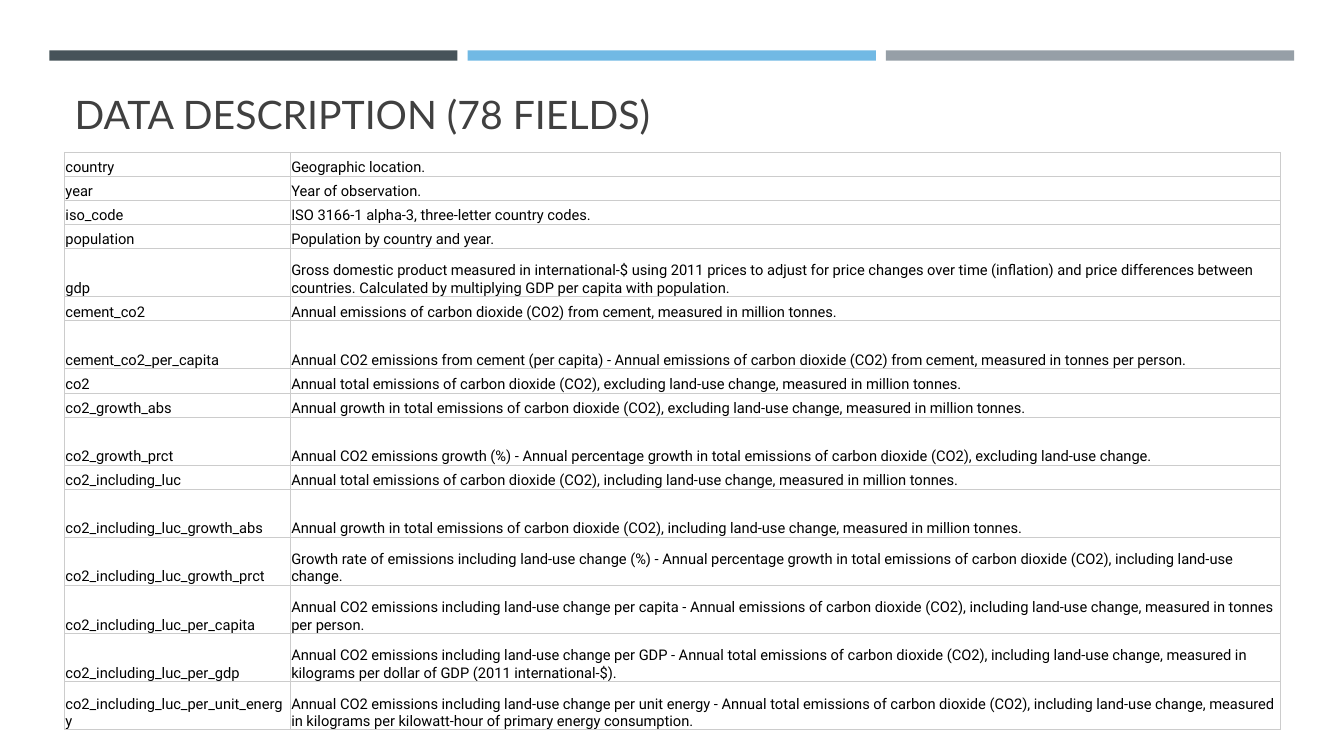
from lxml import etree
from pptx import Presentation
from pptx.dml.color import RGBColor
from pptx.enum.shapes import MSO_SHAPE
from pptx.enum.text import MSO_ANCHOR, MSO_AUTO_SIZE, PP_ALIGN
from pptx.oxml.ns import qn
from pptx.util import Pt

RECTANGLE = MSO_SHAPE.RECTANGLE
BOTTOM = MSO_ANCHOR.BOTTOM
LEFT = PP_ALIGN.LEFT
NO_AUTOFIT = MSO_AUTO_SIZE.NONE

SLATE = RGBColor(0x46, 0x53, 0x59)
SKY = RGBColor(0x71, 0xB9, 0xE4)
GREY = RGBColor(0x96, 0x9F, 0xA7)
CHARCOAL = RGBColor(0x40, 0x40, 0x40)
BLACK = RGBColor(0, 0, 0)
BORDER = RGBColor(0xCC, 0xCC, 0xCC)

SHORT_ROW, TALL_ROW = 17.2, 34.4
COLUMN_WIDTHS = (161.3, 707)
BAR_WIDTH, BAR_PITCH = 291.6, 298.8

FIELDS = [
    ("country", "Geographic location."),
    ("year", "Year of observation."),
    ("iso_code", "ISO 3166-1 alpha-3, three-letter country codes."),
    ("population", "Population by country and year."),
    ("gdp", "Gross domestic product measured in international-$ using 2011 prices to adjust for price "
     "changes over time (inflation) and price differences between countries. Calculated by "
     "multiplying GDP per capita with population."),
    ("cement_co2", "Annual emissions of carbon dioxide (CO2) from cement, measured in million tonnes."),
    ("cement_co2_per_capita", "Annual CO2 emissions from cement (per capita) - Annual emissions of "
     "carbon dioxide (CO2) from cement, measured in tonnes per person."),
    ("co2", "Annual total emissions of carbon dioxide (CO2), excluding land-use change, "
     "measured in million tonnes."),
    ("co2_growth_abs", "Annual growth in total emissions of carbon dioxide (CO2), excluding "
     "land-use change, measured in million tonnes."),
    ("co2_growth_prct", "Annual CO2 emissions growth (%) - Annual percentage growth in total "
     "emissions of carbon dioxide (CO2), excluding land-use change."),
    ("co2_including_luc", "Annual total emissions of carbon dioxide (CO2), including land-use "
     "change, measured in million tonnes."),
    ("co2_including_luc_growth_abs", "Annual growth in total emissions of carbon dioxide (CO2), "
     "including land-use change, measured in million tonnes."),
    ("co2_including_luc_growth_prct", "Growth rate of emissions including land-use change (%) - "
     "Annual percentage growth in total emissions of carbon dioxide (CO2), including land-use change."),
    ("co2_including_luc_per_capita", "Annual CO2 emissions including land-use change per capita - "
     "Annual emissions of carbon dioxide (CO2), including land-use change, measured in tonnes per person."),
    ("co2_including_luc_per_gdp", "Annual CO2 emissions including land-use change per GDP - Annual "
     "total emissions of carbon dioxide (CO2), including land-use change, measured in kilograms per "
     "dollar of GDP (2011 international-$)."),
    ("co2_including_luc_per_unit_energy", "Annual CO2 emissions including land-use change per unit "
     "energy - Annual total emissions of carbon dioxide (CO2), including land-use change, measured "
     "in kilograms per kilowatt-hour of primary energy consumption."),
]
TALL_FIELDS = {
    "gdp", "cement_co2_per_capita", "co2_growth_prct", "co2_including_luc_growth_abs",
    "co2_including_luc_growth_prct", "co2_including_luc_per_capita",
    "co2_including_luc_per_gdp", "co2_including_luc_per_unit_energy",
}


def apply(target, values):
    for name, value in values.items():
        setattr(target, name, value)


class SlideBuilder:
    """Draws styled elements on the current slide."""

    title_font = {"name": "Lato", "size": Pt(28), "bold": False}
    cell_font = {"name": "Roboto", "size": Pt(10.5), "bold": False}
    title_frame = {"vertical_anchor": BOTTOM, "word_wrap": True, "auto_size": NO_AUTOFIT,
                   "margin_left": Pt(7.2), "margin_right": Pt(7.2),
                   "margin_top": Pt(3.6), "margin_bottom": Pt(3.6)}
    cell_frame = {"vertical_anchor": BOTTOM, "margin_left": Pt(0.7), "margin_right": Pt(0.7),
                  "margin_top": Pt(0.3), "margin_bottom": Pt(0)}

    def __init__(self, page):
        self.page = page

    def add_text(self, para, text, font, color):
        para.alignment = LEFT
        span = para.add_run()
        span.text = text
        apply(span.font, font)
        span.font.color.rgb = color

    def title(self, text, left, top, width, height):
        box = self.page.shapes.title
        apply(box, {"left": Pt(left), "top": Pt(top), "width": Pt(width), "height": Pt(height)})
        apply(box.text_frame, self.title_frame)
        self.add_text(box.text_frame.paragraphs[0], text, self.title_font, CHARCOAL)

    def bar(self, left, top, width, height, color):
        box = self.page.shapes.add_shape(RECTANGLE, Pt(left), Pt(top), Pt(width), Pt(height))
        box.shadow.inherit = False
        box.fill.solid()
        box.fill.fore_color.rgb = color
        box.line.fill.background()

    def borders(self, cell):
        properties = cell._tc.get_or_add_tcPr()
        for side in ("a:lnL", "a:lnR", "a:lnT", "a:lnB"):
            line = etree.SubElement(properties, qn(side), w=str(Pt(0.6)))
            fill = etree.SubElement(line, qn("a:solidFill"))
            etree.SubElement(fill, qn("a:srgbClr"), val=str(BORDER))

    def table(self, rows, heights, widths, left, top):
        frame = self.page.shapes.add_table(len(rows), len(widths), Pt(left), Pt(top),
                                           Pt(sum(widths)), Pt(sum(heights)))
        table = frame.table
        apply(table, {"first_row": False, "horz_banding": False})
        for column, width in zip(table.columns, widths):
            column.width = Pt(width)
        for row, height, texts in zip(table.rows, heights, rows):
            row.height = Pt(height)
            for cell, text in zip(row.cells, texts):
                apply(cell, self.cell_frame)
                self.add_text(cell.text_frame.paragraphs[0], text, self.cell_font, BLACK)
                self.borders(cell)
                cell.fill.background()


def main():
    deck = Presentation()
    apply(deck, {"slide_width": Pt(960), "slide_height": Pt(540)})
    builder = SlideBuilder(deck.slides.add_slide(deck.slide_layouts[5]))
    for index, color in enumerate((SLATE, SKY, GREY)):
        builder.bar(35.2 + index * BAR_PITCH, 36, BAR_WIDTH, 7.4, color)
    builder.title("DATA DESCRIPTION (78 FIELDS)", 46.1, 55.4, 868.3, 46.1)
    heights = [TALL_ROW if name in TALL_FIELDS else SHORT_ROW for name, _ in FIELDS]
    builder.table(FIELDS, heights, COLUMN_WIDTHS, 46.1, 108.8)
    deck.save("out.pptx")


if __name__ == "__main__":
    main()
